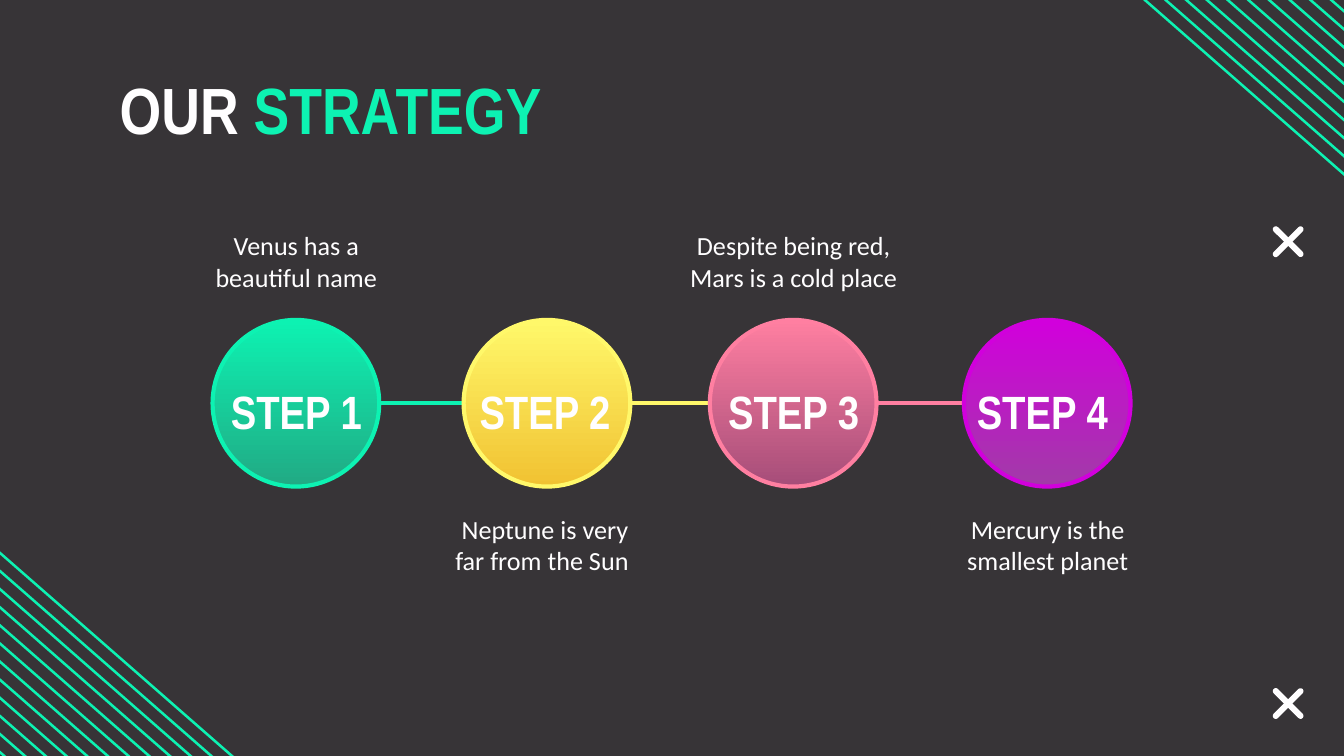
from dataclasses import dataclass
from typing import NamedTuple

from lxml import etree
from pptx import Presentation
from pptx.dml.color import RGBColor
from pptx.enum.shapes import MSO_CONNECTOR, MSO_SHAPE
from pptx.enum.text import MSO_ANCHOR, MSO_AUTO_SIZE, PP_ALIGN
from pptx.oxml.ns import qn
from pptx.slide import Slide
from pptx.text.text import TextFrame, _Paragraph
from pptx.util import Pt

CIRCLE = MSO_SHAPE.OVAL
CAPSULE = MSO_SHAPE.ROUNDED_RECTANGLE
STRAIGHT = MSO_CONNECTOR.STRAIGHT
TOP, MIDDLE = MSO_ANCHOR.TOP, MSO_ANCHOR.MIDDLE
LEFT, CENTER = PP_ALIGN.LEFT, PP_ALIGN.CENTER
COMPARISON_LAYOUT = 4


@dataclass(frozen=True)
class Theme:
    background: str = "373437"
    text: str = "FFFEFF"
    accent: str = "0DF2B2"
    heading_font: str = "Arial Narrow"
    body_font: str = "Calibri"
    title_size: float = 35
    step_size: float = 25
    body_size: float = 14
    line_width: float = 2.25


class Box(NamedTuple):
    left: float
    top: float
    width: float
    height: float

    def lengths(self) -> list[Pt]:
        return [Pt(value) for value in self]


class Step(NamedTuple):
    label: str
    description: str
    circle_left: float
    color: str
    shade: str
    description_box: Box


class Stripes(NamedTuple):
    left: float
    top: float
    count: int


THEME = Theme()
TITLE_BOX = Box(56.9, 35.3, 607, 45.4)
CIRCLE_TOP, CIRCLE_SIZE = 171.4, 89.3
LABEL_BOX = Box(105.1, 198, 107.3, 34.6)
LABEL_STEP = 133.2
INSET = 7.2

STEPS = [
    Step("STEP 1", "Venus has a beautiful name", 113.9, "0DF2B2", "21AA84",
         Box(100.1, 115.9, 117.4, 62.6)),
    Step("STEP 2", "Neptune is very far from the Sun ", 248.4, "FFF86A", "F1C232",
         Box(233.3, 267.8, 117.4, 45.4)),
    Step("STEP 3", "Despite being red, Mars is a cold place", 380.3, "FF7FA1", "A64D79",
         Box(355, 115.9, 140.4, 62.6)),
    Step("STEP 4", "Mercury is the smallest planet", 516.4, "D100DC", "A23AA8",
         Box(502.6, 267.8, 117.4, 45.4)),
]

STRIPE_SETS = [Stripes(-68.4, 236.2, 12), Stripes(595.1, -103.5, 10)]
STRIPE_STEP = (-4.83, 5.48)
STRIPE_CORNERS = [(0, 1.1), (0.8, 0), (251.3, 219.2), (250.5, 220.3)]

CROSS_CENTERS = [(690.1, 129.5), (690.1, 376.9)]
CROSS_LENGTH, CROSS_THICKNESS = 22, 3.2


def rgb(color: str) -> RGBColor:
    return RGBColor.from_string(color)


def place(shape, box: Box) -> None:
    shape.left, shape.top, shape.width, shape.height = box.lengths()


def prepare_frame(frame: TextFrame, anchor) -> _Paragraph:
    """Set wrapping, insets and anchor, and return the first paragraph."""
    frame.auto_size = MSO_AUTO_SIZE.NONE
    frame.word_wrap = True
    frame.vertical_anchor = anchor
    frame.margin_left = frame.margin_right = Pt(INSET)
    frame.margin_top = frame.margin_bottom = Pt(INSET)
    return frame.paragraphs[0]


def format_para(para: _Paragraph, font: str, size: float, bold: bool, align) -> None:
    para.alignment = align
    para.space_before = Pt(0)
    para.font.name = font
    para.font.size = Pt(size)
    para.font.bold = bold
    para.font.color.rgb = rgb(THEME.text)


def remove_bullet(para: _Paragraph) -> None:
    properties = para._p.get_or_add_pPr()
    properties.set("marL", "0")
    properties.set("indent", "0")
    bullet = etree.Element(qn("a:buNone"))
    properties.find(qn("a:spcBef")).addnext(bullet)


def add_stripes(page: Slide, stripes: Stripes) -> None:
    for index in range(stripes.count):
        left = stripes.left + index * STRIPE_STEP[0]
        top = stripes.top + index * STRIPE_STEP[1]
        corners = [(Pt(left + x), Pt(top + y)) for x, y in STRIPE_CORNERS]
        builder = page.shapes.build_freeform(*corners[0])
        builder.add_line_segments(corners[1:], close=True)
        stripe = builder.convert_to_shape()
        fill_plain(stripe, THEME.accent)


def fill_plain(shape, color: str) -> None:
    shape.shadow.inherit = False
    shape.fill.solid()
    shape.fill.fore_color.rgb = rgb(color)
    shape.line.fill.background()


def add_cross(page: Slide, center_x: float, center_y: float) -> None:
    box = Box(center_x - CROSS_LENGTH / 2, center_y - CROSS_THICKNESS / 2,
              CROSS_LENGTH, CROSS_THICKNESS)
    for angle in (45, -45):
        bar = page.shapes.add_shape(CAPSULE, *box.lengths())
        bar.adjustments[0] = 0.5
        bar.rotation = angle
        fill_plain(bar, THEME.text)


def add_link(page: Slide, step: Step, following: Step) -> None:
    middle = Pt(CIRCLE_TOP + CIRCLE_SIZE / 2)
    link = page.shapes.add_connector(STRAIGHT, Pt(step.circle_left + CIRCLE_SIZE), middle,
                                     Pt(following.circle_left), middle)
    link.line.color.rgb = rgb(step.color)
    link.line.width = Pt(THEME.line_width)
    etree.SubElement(link._element.spPr, qn("a:effectLst"))


def add_circle(page: Slide, step: Step) -> None:
    box = Box(step.circle_left, CIRCLE_TOP, CIRCLE_SIZE, CIRCLE_SIZE)
    circle = page.shapes.add_shape(CIRCLE, *box.lengths())
    circle.shadow.inherit = False
    circle.fill.gradient()
    circle.fill.gradient_angle = 270
    for stop, color in zip(circle.fill.gradient_stops, (step.color, step.shade)):
        stop.color.rgb = rgb(color)
    circle.line.color.rgb = rgb(step.color)
    circle.line.width = Pt(THEME.line_width)


def add_label(page: Slide, text: str, box: Box) -> None:
    label = page.shapes.add_textbox(*box.lengths())
    para = prepare_frame(label.text_frame, TOP)
    para.text = text
    format_para(para, THEME.heading_font, THEME.step_size, True, CENTER)


def write_title(page: Slide) -> None:
    title = page.shapes.title
    place(title, TITLE_BOX)
    para = prepare_frame(title.text_frame, MIDDLE)
    format_para(para, THEME.heading_font, THEME.title_size, True, LEFT)
    for text, color in (("OUR ", THEME.text), ("STRATEGY", THEME.accent)):
        span = para.add_run()
        span.text = text
        span.font.color.rgb = rgb(color)


def write_description(placeholder, step: Step) -> None:
    place(placeholder, step.description_box)
    para = prepare_frame(placeholder.text_frame, TOP)
    para.text = step.description
    format_para(para, THEME.body_font, THEME.body_size, False, CENTER)
    remove_bullet(para)


def main() -> None:
    deck = Presentation()
    deck.slide_width, deck.slide_height = Pt(720), Pt(405)
    page = deck.slides.add_slide(deck.slide_layouts[COMPARISON_LAYOUT])
    page.background.fill.solid()
    page.background.fill.fore_color.rgb = rgb(THEME.background)

    write_title(page)
    for index, step in enumerate(STEPS, start=1):
        write_description(page.placeholders[index], step)
    for stripes in STRIPE_SETS:
        add_stripes(page, stripes)
    for center in CROSS_CENTERS:
        add_cross(page, *center)
    for step, following in zip(STEPS, STEPS[1:]):
        add_link(page, step, following)
    for index, step in enumerate(STEPS):
        add_circle(page, step)
        add_label(page, step.label, LABEL_BOX._replace(left=LABEL_BOX.left + index * LABEL_STEP))
    deck.save("out.pptx")


if __name__ == "__main__":
    main()
